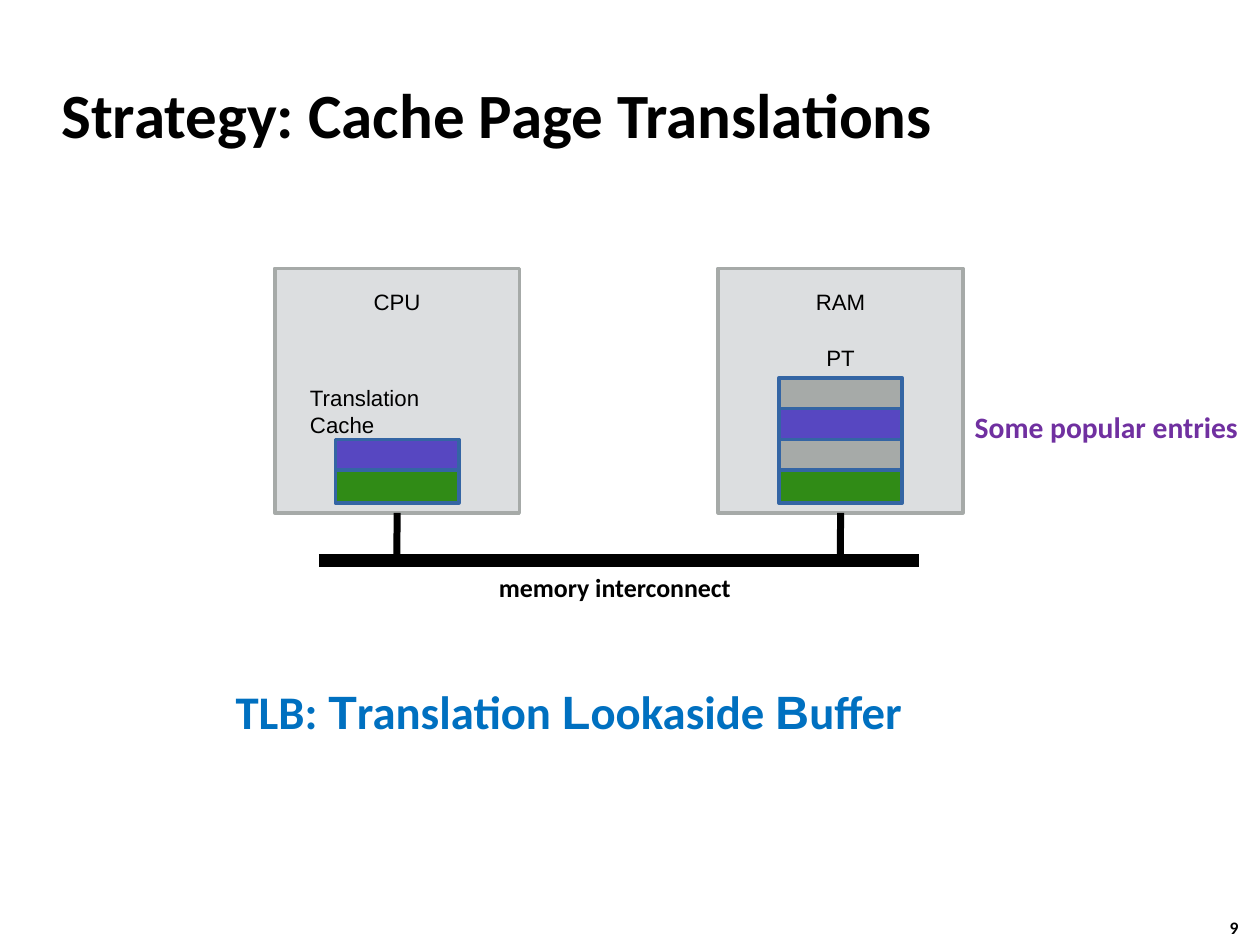
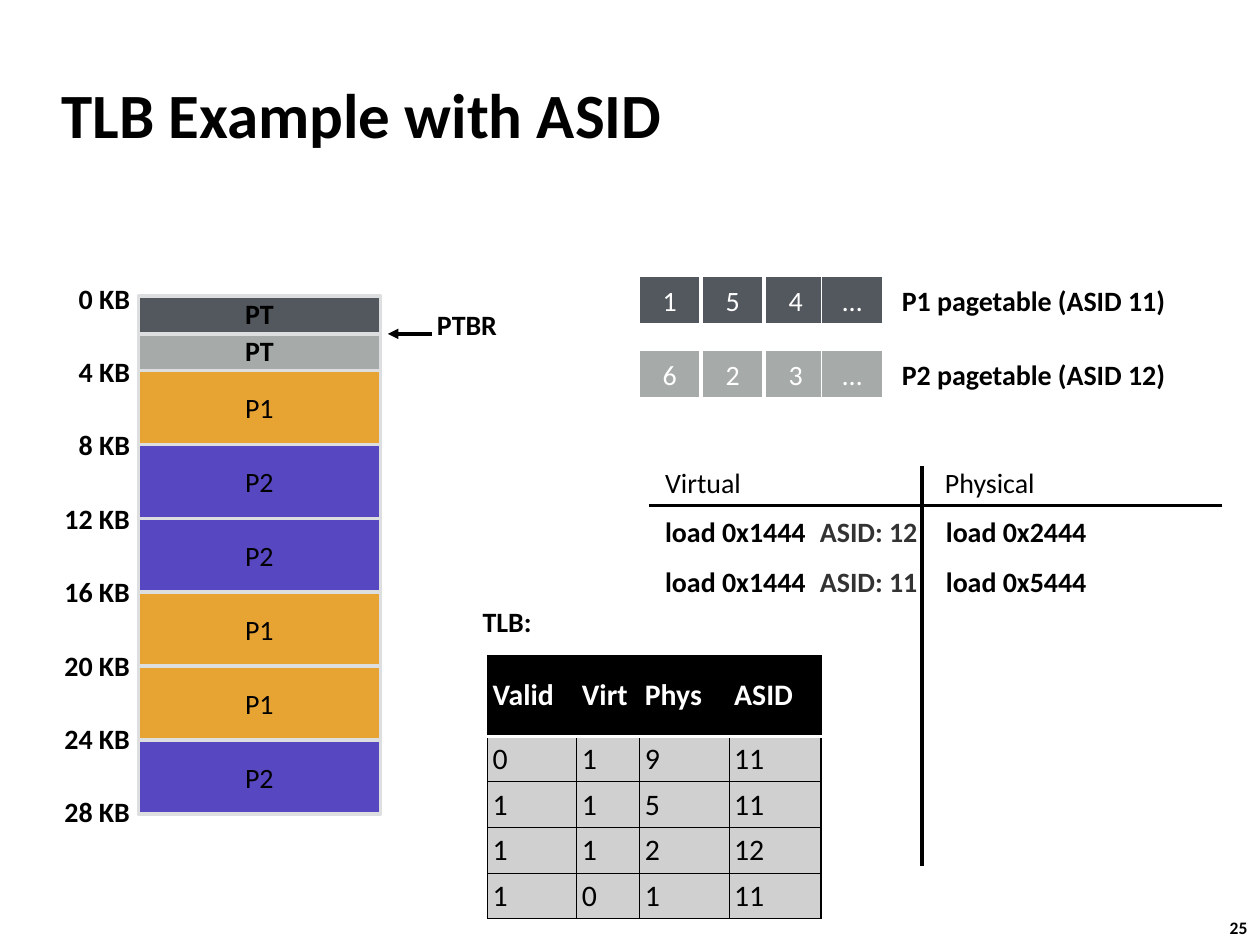
"""Build two slides on caching page translations in a TLB."""
import lxml.etree
import pptx
import pptx.dml.color
import pptx.enum.shapes
import pptx.enum.text
import pptx.oxml.ns
import pptx.util

Cm = pptx.util.Cm
Pt = pptx.util.Pt
ANCHOR = pptx.enum.text.MSO_ANCHOR
ALIGN = pptx.enum.text.PP_ALIGN

COLORS = {
    "black": "000000", "white": "FFFFFF", "charcoal": "333333",
    "panel": "DCDEE0", "gray": "A6AAA8", "slate": "53585F",
    "purple": "5747C1", "green": "308B16", "amber": "E8A433",
    "outline": "3465A4", "heading": "0070C0", "remark": "7030A0",
    "cell": "D0D0D0",
}


def rgb(color):
    return pptx.dml.color.RGBColor.from_string(COLORS[color])


def add_xml(parent, tag, **attributes):
    return lxml.etree.SubElement(parent, pptx.oxml.ns.qn(tag), attributes)


class Deck:
    """Holds the shared style and draws on the current slide."""

    def __init__(self):
        self.presentation = pptx.Presentation()
        self.presentation.slide_width = Cm(25.4)
        self.presentation.slide_height = Cm(19.05)
        self.slide = None

    def new_slide(self, title, number):
        self.slide = self.presentation.slides.add_slide(self.presentation.slide_layouts[6])
        self.text(title, 0.99, 1.24, 21.08, 2.11, size=36, bold=True, inset=0.25)
        self.text(number, 24.54, 18.36, 0.94, 0.69, size=10, bold=True, inset=0.25)

    def style(self, run, size, color, bold, font):
        run.font.size = Pt(size)
        run.font.bold = bold
        run.font.name = font
        run.font.color.rgb = rgb(color)

    def fill_frame(self, frame, text, size=16, color="black", bold=False, font="Calibri",
                   align=ALIGN.LEFT, anchor=ANCHOR.MIDDLE, inset=0.1, wrap=True):
        frame.text = text
        frame.word_wrap = wrap
        frame.vertical_anchor = anchor
        frame.margin_left = frame.margin_right = Cm(inset)
        frame.margin_top = frame.margin_bottom = Cm(inset / 2 if inset > 0.2 else inset)
        frame.paragraphs[0].alignment = align
        for run in frame.paragraphs[0].runs:
            self.style(run, size, color, bold, font)

    def text(self, text, left, top, width, height=0.89, **style):
        box = self.slide.shapes.add_textbox(Cm(left), Cm(top), Cm(width), Cm(height))
        self.fill_frame(box.text_frame, text, **style)
        return box.text_frame

    def label(self, text, left, top, width, height=0.89, **style):
        return self.text(text, left, top, width, height, wrap=False, **style)

    def rect(self, left, top, width, height, fill, line, line_width=2, text="", **style):
        shape = self.slide.shapes.add_shape(
            pptx.enum.shapes.MSO_SHAPE.RECTANGLE, Cm(left), Cm(top), Cm(width), Cm(height))
        shape.shadow.inherit = False
        shape.fill.solid()
        shape.fill.fore_color.rgb = rgb(fill)
        shape.line.color.rgb = rgb(line)
        shape.line.width = Pt(line_width)
        if text:
            self.fill_frame(shape.text_frame, text, align=ALIGN.CENTER, inset=0, **style)
        return shape

    def line(self, x1, y1, x2, y2, width=2, arrow=False):
        connector = self.slide.shapes.add_connector(
            pptx.enum.shapes.MSO_CONNECTOR.STRAIGHT, Cm(x1), Cm(y1), Cm(x2), Cm(y2))
        connector.line.color.rgb = rgb("black")
        connector.line.width = Pt(width)
        if arrow:
            add_xml(connector._element.spPr.get_or_add_ln(), "a:tailEnd", type="triangle")
        add_xml(connector._element.spPr, "a:effectLst")
        return connector

    def border(self, cell, side, color, width):
        edge = add_xml(cell._tc.get_or_add_tcPr(), f"a:ln{side}", w=str(int(Pt(width))))
        add_xml(add_xml(edge, "a:solidFill"), "a:srgbClr", val=COLORS[color])

    def table(self, rows, left, top, widths, heights):
        table = self.slide.shapes.add_table(
            len(rows), len(widths), Cm(left), Cm(top), Cm(sum(widths)), Cm(sum(heights))).table
        for column, width in zip(table.columns, widths):
            column.width = Cm(width)
        for r, (values, height) in enumerate(zip(rows, heights)):
            table.rows[r].height = Cm(height)
            header = r == 0
            for c, value in enumerate(values):
                cell = table.cell(r, c)
                for side in "LRTB":
                    divider = (r, side) in ((0, "B"), (1, "T"))
                    self.border(cell, side, "white" if divider else "black", 2 if divider else 0.75)
                cell.fill.solid()
                cell.fill.fore_color.rgb = rgb("black" if header else "cell")
                cell.vertical_anchor = ANCHOR.MIDDLE
                cell.margin_left = cell.margin_right = Cm(0.1)
                cell.margin_top = cell.margin_bottom = Cm(0.1)
                cell.text = value
                self.style(cell.text_frame.paragraphs[0].runs[0], 17,
                           "white" if header else "black", header, "Calibri")


def cache_slide(deck):
    deck.new_slide("Strategy: Cache Page Translations", "9")

    acronym = deck.text("", 4.5, 13.64, 17.53, 3.02, anchor=ANCHOR.TOP, inset=0.25)
    for piece in ("TLB: ", "T", "ranslation ", "L", "ookaside ", "B", "uffer"):
        run = acronym.paragraphs[0].add_run()
        run.text = piece
        deck.style(run, 26.7, "heading", True, "Arial" if len(piece) == 1 else "Calibri")

    units = (
        ("CPU", 5.54, ("purple", "green")),
        ("RAM", 14.48, ("gray", "purple", "gray", "green")),
    )
    for name, left, entries in units:
        unit = deck.rect(left, 5.41, 4.93, 4.93, "panel", "gray")
        stem = deck.line(left + 2.46, 11.35, left + 2.46, 10.34, 4)
        stem.end_connect(unit, 2)
        deck.text(name, left, 5.72, 4.93, 0.74, size=12.7, font="Arial", align=ALIGN.CENTER)
        for i, color in enumerate(entries):
            top = 9.48 - 0.62 * (len(entries) - 1 - i)
            deck.rect(left + 1.22, top, 2.49, 0.66, color, "outline")

    deck.line(6.43, 11.3, 18.52, 11.3, 7)
    deck.label("memory interconnect", 9.96, 11.42, 4.9, 0.84, size=14.8, bold=True)
    deck.text("PT", 14.48, 6.84, 4.93, 0.74, size=12.7, font="Arial", align=ALIGN.CENTER)
    deck.text("Translation Cache", 6.15, 7.65, 3.0, 1.27, size=12.7, font="Arial")
    deck.label("Some popular entries", 19.4, 8.12, 5.87, 0.97,
               size=16.9, color="remark", bold=True, inset=0.25)


def asid_slide(deck):
    deck.new_slide("TLB Example with ASID", "25")

    for top, height, color in ((5.97, 0.97, "slate"), (6.73, 0.74, "gray")):
        deck.rect(2.79, top, 4.88, height, color, "panel", text="PT", bold=True, anchor=ANCHOR.TOP)
    for i, process in enumerate(("P1", "P2", "P2", "P1", "P1", "P2")):
        color = "amber" if process == "P1" else "purple"
        deck.rect(2.79, 7.47 + 1.49 * i, 4.88, 1.49, color, "panel", text=process)
    for i in range(8):
        deck.text(f"{4 * i} KB", 0.72, 5.56 + 1.48 * i, 2.0, bold=True, align=ALIGN.RIGHT)
    deck.line(8.71, 6.73, 7.82, 6.73, arrow=True)
    deck.label("PTBR", 8.71, 6.1, 1.42, bold=True)

    page_tables = (
        ("P1 pagetable (ASID 11)", "154…", "slate"),
        ("P2 pagetable (ASID 12)", "623…", "gray"),
    )
    for row, (name, frames, color) in enumerate(page_tables):
        top = 5.56 + 1.5 * row
        for left, frame in zip((12.88, 14.15, 15.42, 16.56), frames):
            deck.rect(left, top, 1.24, 0.97, color, "white", 1, text=frame, color="white")
        deck.label(name, 18.08, top + 0.05, 5.59, bold=True)

    deck.line(18.59, 17.45, 18.59, 9.4)
    deck.line(24.64, 10.19, 13.08, 10.19)
    deck.text("Virtual", 13.31, 9.27, 5.28)
    deck.text("Physical", 18.95, 9.27, 5.28)
    loads = (("0x1444", "12", "0x2444"), ("0x1444", "11", "0x5444"))
    for row, (virtual, asid, physical) in enumerate(loads):
        top = 10.26 + 1.01 * row
        deck.text(f"load {virtual}", 13.31, top, 5.28, bold=True)
        deck.text(f"load {physical}", 18.97, top, 6.07, bold=True)
        deck.label(f"ASID: {asid}", 16.28, top - 0.02, 2.51, 0.94,
                   bold=True, color="charcoal", inset=0.25)

    deck.label("TLB:", 9.63, 12.09, 1.19, bold=True)
    entries = (
        ("Valid", "Virt", "Phys", "ASID"),
        ("0", "1", "9", "11"),
        ("1", "1", "5", "11"),
        ("1", "1", "2", "12"),
        ("1", "0", "1", "11"),
    )
    deck.table(entries, 9.83, 13.21, (1.8, 1.27, 1.8, 1.85), (1.63,) + (0.91,) * 4)


def main():
    deck = Deck()
    cache_slide(deck)
    asid_slide(deck)
    deck.presentation.save("out.pptx")


if __name__ == "__main__":
    main()
